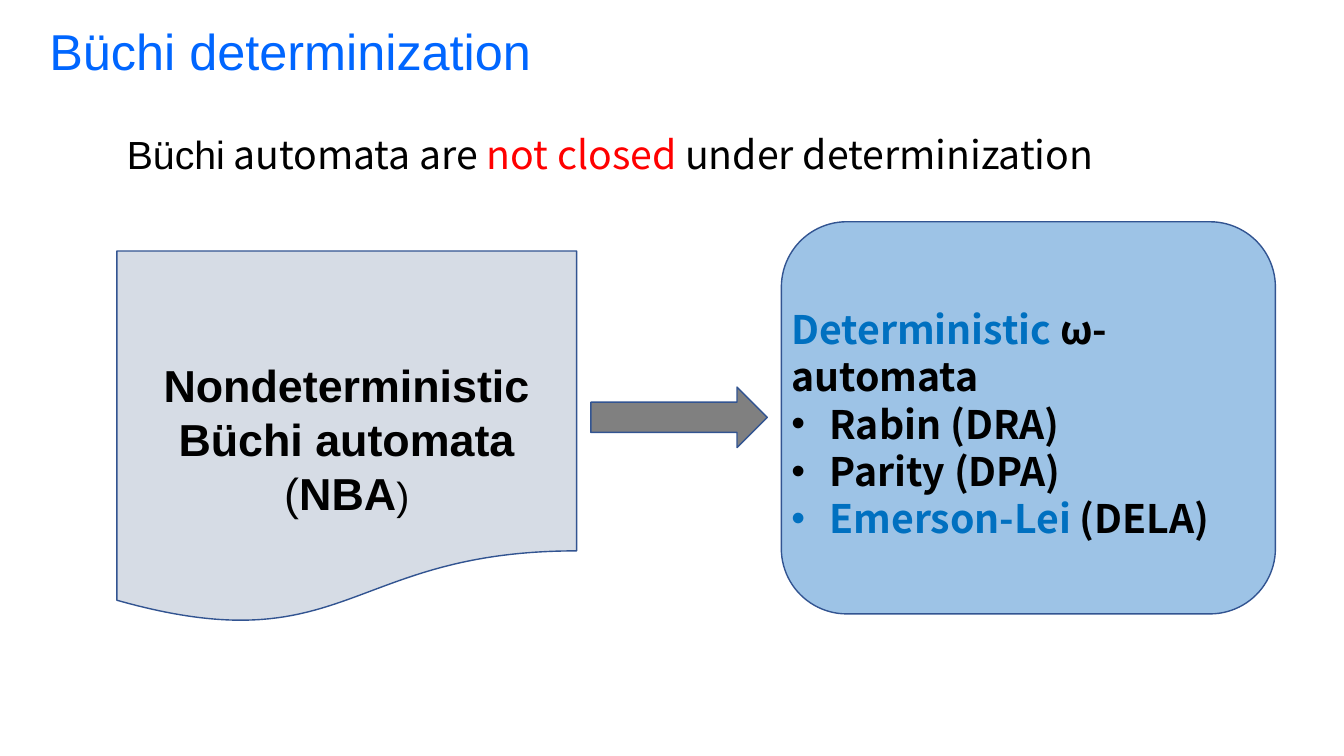
from lxml import etree
from pptx import Presentation
from pptx import util as u
from pptx.dml.color import RGBColor
from pptx.enum import shapes, text
from pptx.oxml import ns

# Content: each paragraph is a list of (text, format) spans
ARIAL, NOTO = "Arial", "Noto Sans CJK SC"
BLACK, BLUE, RED = "000000", "0070C0", "FF0000"
TITLE = [[("Büchi determinization", {})]]
CLAIM = [[("Büchi", {"font": ARIAL}), (" automata are ", {}),
          ("not closed ", {"color": RED}), ("under determinization", {})]]
SOURCE = [[("Nondeterministic Büchi automata", {}), (" (", {"bold": False}),
           ("NBA", {}), (")", {"bold": False, "size": 28})]]
TARGET = [[("Deterministic ", {"color": BLUE}), ("ω-automata", {})]]
TARGET_KINDS = [[("Rabin (DRA)", {})], [("Parity (DPA)", {})],
                [("Emerson-Lei", {"color": BLUE}), (" (DELA)", {})]]

# Layout in inches: two boxes with an arrow centred in the gap
SOURCE_LEFT, SOURCE_WIDTH = 1.16, 4.56
TARGET_LEFT, TARGET_WIDTH = 7.75, 4.9
ARROW_GAP = 0.14
ARROW_LEFT = SOURCE_LEFT + SOURCE_WIDTH + ARROW_GAP
ARROW_WIDTH = TARGET_LEFT - ARROW_GAP - ARROW_LEFT
KIND = shapes.MSO_SHAPE
FIGURES = [
    (KIND.FLOWCHART_DOCUMENT, (SOURCE_LEFT, 2.49, SOURCE_WIDTH, 3.71), "D6DCE5"),
    (KIND.RIGHT_ARROW, (ARROW_LEFT, 3.84, ARROW_WIDTH, 0.6), "808080"),
    (KIND.ROUNDED_RECTANGLE, (TARGET_LEFT, 2.2, TARGET_WIDTH, 3.89), "9DC3E6"),
]

deck = Presentation()
deck.slide_width, deck.slide_height = u.Inches(13.33), u.Inches(7.5)
page = deck.slides.add_slide(deck.slide_layouts[6])


def rgb(color):
    return RGBColor.from_string(color)


def add_figure(kind, place, fill):
    figure = page.shapes.add_shape(kind, *map(u.Inches, place))
    figure.shadow.inherit = False
    figure.fill.solid()
    figure.fill.fore_color.rgb = rgb(fill)
    figure.line.color.rgb = rgb("325491")
    figure.line.width = u.Pt(1)


def add_bullet(para, indent=0.38):
    props = para._p.get_or_add_pPr()
    props.set("marL", str(u.Inches(indent)))
    props.set("indent", str(-u.Inches(indent)))
    etree.SubElement(props, ns.qn("a:buFont")).set("typeface", ARIAL)
    etree.SubElement(props, ns.qn("a:buChar")).set("char", "•")


def add_text(place, paras, bullets=(), align=text.PP_ALIGN.LEFT, pitch=None, **base):
    """Write plain then bulleted paragraphs; pitch is the line height in points."""
    frame = page.shapes.add_textbox(*map(u.Inches, place)).text_frame
    frame.word_wrap = True
    for index, spans in enumerate([*paras, *bullets]):
        para = frame.add_paragraph() if index else frame.paragraphs[0]
        para.alignment = align
        if pitch:
            para.line_spacing = u.Pt(pitch)
        if index >= len(paras):
            add_bullet(para)
        for words, changes in spans:
            look = {"color": BLACK, "bold": False, **base, **changes}
            span = para.add_run()
            span.text = words
            span.font.name = look["font"]
            span.font.size = u.Pt(look["size"])
            span.font.bold = look["bold"]
            span.font.color.rgb = rgb(look["color"])


# Boxes and arrow
for figure_parts in FIGURES:
    add_figure(*figure_parts)

# Heading, claim and box labels
add_text((0.39, 0.15, 9.21, 0.71), TITLE, font=ARIAL, size=36, color="0066FF")
add_text((SOURCE_LEFT, 1.21, 10.19, 0.57), CLAIM, font=NOTO, size=28, pitch=36)
add_text((SOURCE_LEFT, 3.5, SOURCE_WIDTH, 1.18), SOURCE, font=ARIAL, size=32,
         bold=True, align=text.PP_ALIGN.CENTER, pitch=38.6)
add_text((TARGET_LEFT, 2.98, TARGET_WIDTH, 2.39), TARGET, TARGET_KINDS, font=NOTO,
         size=28, bold=True, pitch=33.7)

deck.save("out.pptx")
